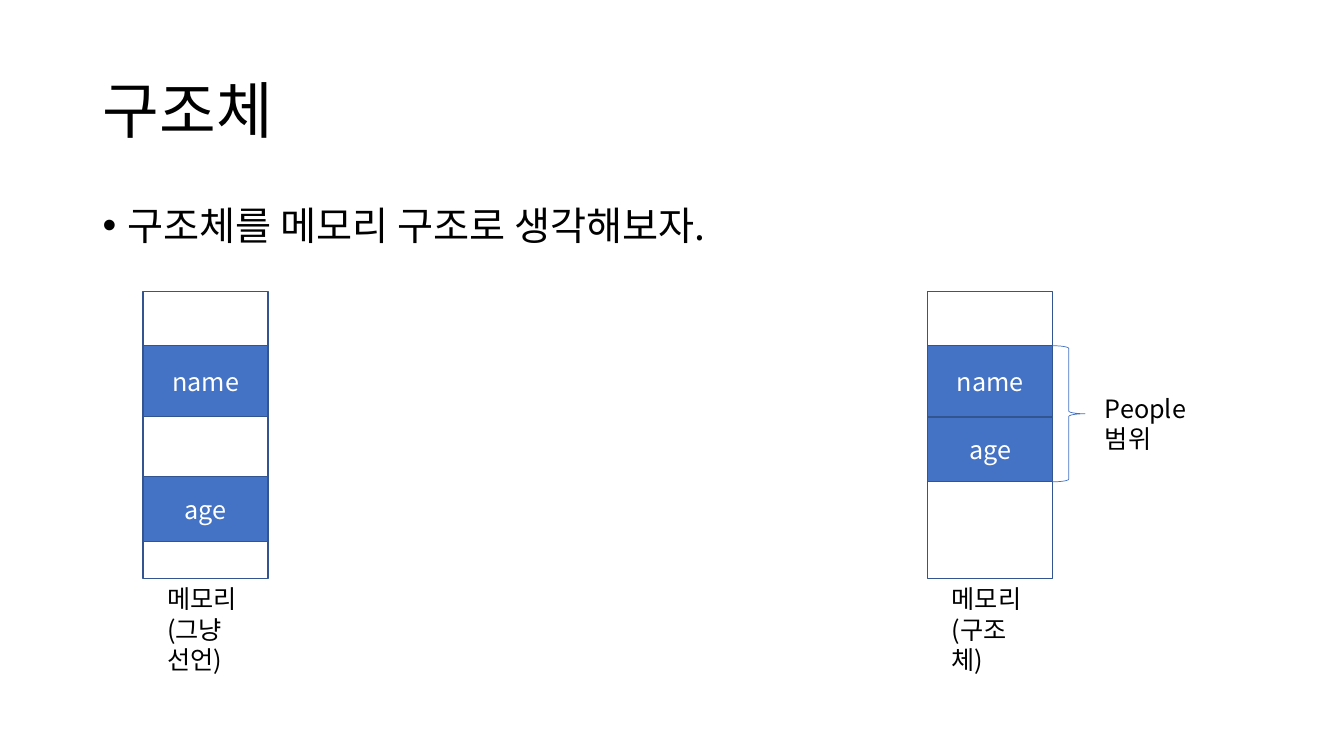
import pptx
import pptx.util
from pptx.dml.color import RGBColor
from pptx.enum.shapes import MSO_SHAPE
from pptx.enum.text import MSO_ANCHOR, PP_ALIGN
from lxml import etree

PX = 9144  # EMU; 100 px to the inch
FONT = "Noto Sans CJK KR"
COLORS = {"text": "000000", "cell": "4472C4", "edge": "325491",
          "label": "FFFFFF", "brace": "4472C4"}
A = "{http://schemas.openxmlformats.org/drawingml/2006/main}"

MEM_TOP, MEM_W, MEM_H = 289, 124, 285
NAME_TOP, NAME_H, AGE_H = 343, 70, 64


def color(name):
    return RGBColor.from_string(COLORS[name])


class Deck:
    def __init__(self, width, height):
        self.prs = pptx.Presentation()
        self.prs.slide_width = width * PX
        self.prs.slide_height = height * PX
        self.slide = self.prs.slides.add_slide(self.prs.slide_layouts[6])

    def style(self, tf, size, name):
        for p in tf.paragraphs:
            for r in p.runs:
                r.font.size = pptx.util.Pt(size)
                r.font.name = FONT
                r.font.color.rgb = color(name)
                etree.SubElement(r.font._element, A + "ea", typeface=FONT)

    def text(self, x, y, w, h, lines, size=18, anchor=MSO_ANCHOR.TOP):
        s = self.slide.shapes.add_textbox(x * PX, y * PX, w * PX, h * PX)
        tf = s.text_frame
        tf.word_wrap = True
        tf.vertical_anchor = anchor
        tf.text = lines
        self.style(tf, size, "text")
        return tf.paragraphs[0]

    def bullet(self, p, indent):
        p.space_before = pptx.util.Pt(10)
        ppr = p._p.get_or_add_pPr()
        ppr.set("marL", str(indent * PX))
        ppr.set("indent", str(-indent * PX))
        etree.SubElement(ppr, A + "buFont", typeface="Arial")
        etree.SubElement(ppr, A + "buChar", char="•")

    def shape(self, kind, x, y, w, h, line="edge", weight=1, fill=None):
        s = self.slide.shapes.add_shape(kind, x * PX, y * PX, w * PX, h * PX)
        s.shadow.inherit = False
        if fill:
            s.fill.solid()
            s.fill.fore_color.rgb = color(fill)
        else:
            s.fill.background()
        s.line.color.rgb = color(line)
        s.line.width = pptx.util.Pt(weight)
        return s

    def cell(self, x, y, h, label):
        s = self.shape(MSO_SHAPE.RECTANGLE, x, y, MEM_W, h, fill="cell")
        tf = s.text_frame
        tf.text = label
        tf.vertical_anchor = MSO_ANCHOR.MIDDLE
        tf.paragraphs[0].alignment = PP_ALIGN.CENTER
        self.style(tf, 18, "label")

    def memory(self, x, age_top, caption, caption_w):
        """Draw a memory column with its two variables and a caption below."""
        self.shape(MSO_SHAPE.RECTANGLE, x, MEM_TOP, MEM_W, MEM_H)
        self.cell(x, NAME_TOP, NAME_H, "name")
        self.cell(x, age_top, AGE_H, "age")
        self.text(x + 14, MEM_TOP + MEM_H, caption_w, 71, caption)


def main():
    deck = Deck(1333, 750)
    title = deck.text(92, 40, 1150, 145, "구조체", 44, MSO_ANCHOR.MIDDLE)
    title.line_spacing = 0.9
    body = deck.text(92, 200, 1150, 432, "구조체를 메모리 구조로 생각해보자.", 28)
    body.line_spacing = 0.9
    deck.bullet(body, 25)

    struct_x, struct_age = 920, NAME_TOP + NAME_H + 1
    deck.memory(142, 473, "메모리\n(그냥 선언)", 123)
    deck.memory(struct_x, struct_age, "메모리\n(구조체)", 95)
    deck.shape(MSO_SHAPE.RIGHT_BRACE, struct_x + MEM_W, NAME_TOP, 32,
               struct_age + AGE_H - NAME_TOP, "brace", 0.5)
    deck.text(1086, 385, 135, 40, "People 범위")
    deck.prs.save("out.pptx")


if __name__ == "__main__":
    main()
